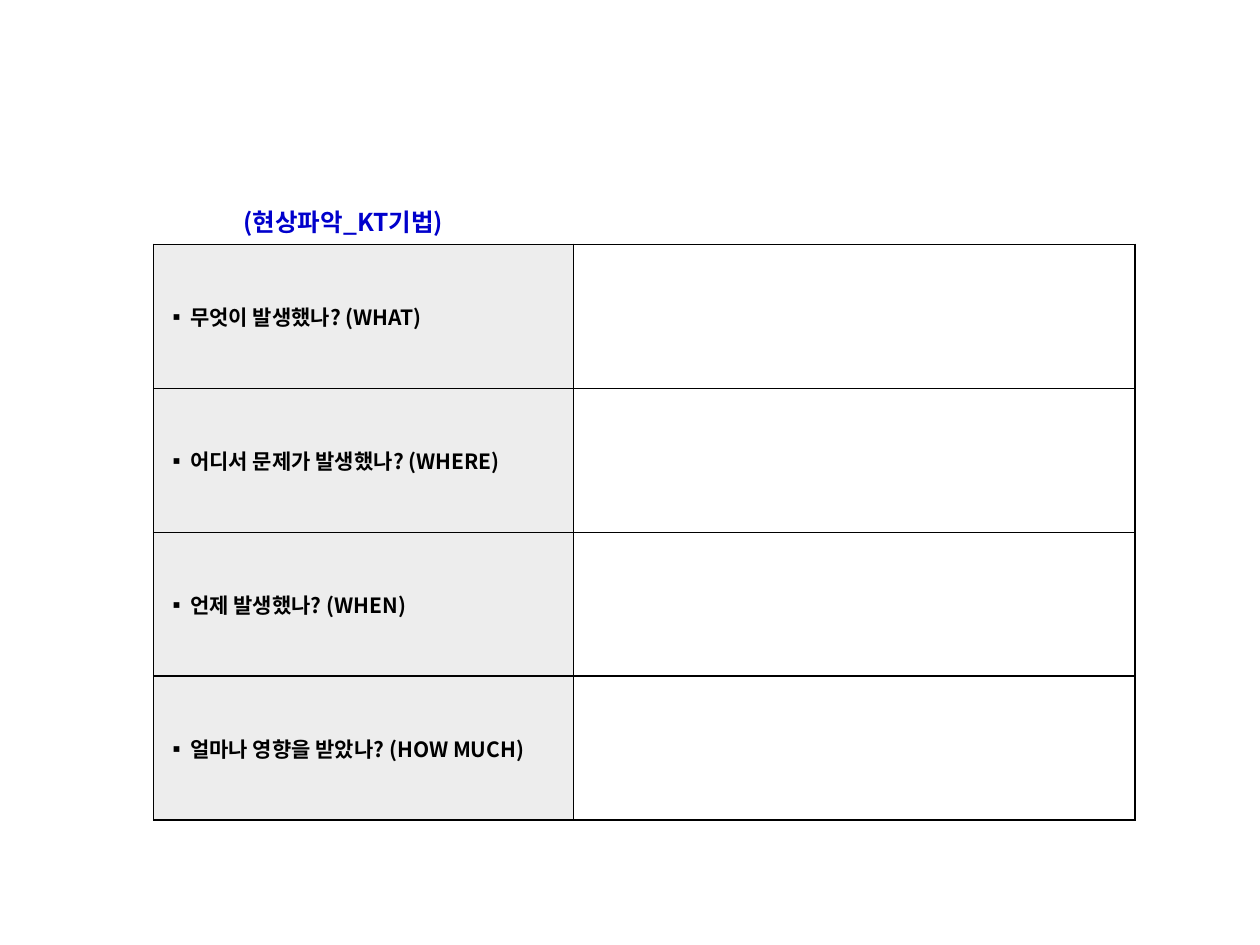
"""Build a slide with a table of four problem-description questions."""
from dataclasses import dataclass

from lxml.etree import SubElement
from pptx import Presentation
from pptx.dml.color import RGBColor
from pptx.enum.text import MSO_ANCHOR, PP_ALIGN
from pptx.oxml import parse_xml
from pptx.oxml.ns import nsdecls, qn
from pptx.slide import Slide
from pptx.table import _Cell
from pptx.text.text import _Paragraph
from pptx.util import Inches, Pt

SLIDE_WIDTH = Inches(10)
SLIDE_HEIGHT = Inches(7.5)
FONT_NAME = "Noto Sans CJK KR"
BLACK = RGBColor(0x00, 0x00, 0x00)
BLUE = RGBColor(0x00, 0x00, 0xCC)
LIGHT_GRAY = RGBColor(0xED, 0xED, 0xED)
TABLE_LEFT = round(SLIDE_WIDTH * 0.122)
TABLE_TOP = Inches(1.94)
COLUMN_WIDTHS = (round(SLIDE_WIDTH * 0.333), round(SLIDE_WIDTH * 0.446))
ROW_HEIGHT = Inches(4.57) // 4
BULLET_INDENT = Inches(0.19)


@dataclass(frozen=True)
class Question:
    text: str
    keyword: str


QUESTIONS = (
    Question("무엇이 발생했나?", "WHAT"),
    Question("어디서 문제가 발생했나?", "WHERE"),
    Question("언제 발생했나?", "WHEN"),
    Question("얼마나 영향을 받았나?", "HOW MUCH"),
)


def format_font(paragraph: _Paragraph, size: int, color: RGBColor) -> None:
    font = paragraph.font
    font.name = FONT_NAME
    font.size = Pt(size)
    font.bold = True
    font.color.rgb = color
    properties = paragraph._p.pPr.find(qn("a:defRPr"))
    SubElement(properties, qn("a:ea"), typeface=FONT_NAME)


def add_bullet(paragraph: _Paragraph) -> None:
    properties = paragraph._p.get_or_add_pPr()
    properties.set("marL", str(BULLET_INDENT))
    properties.set("indent", str(-BULLET_INDENT))
    SubElement(properties, qn("a:buFont"), typeface=FONT_NAME)
    SubElement(properties, qn("a:buChar"), char="▪")


def add_borders(cell: _Cell) -> None:
    properties = cell._tc.get_or_add_tcPr()
    for position, side in enumerate("LRTB"):
        border = parse_xml(
            f'<a:ln{side} {nsdecls("a")} w="{Pt(1)}"><a:solidFill>'
            f'<a:srgbClr val="{BLACK}"/></a:solidFill></a:ln{side}>'
        )
        properties.insert(position, border)


def add_title(slide: Slide, text: str) -> None:
    title = slide.shapes.title
    title.left, title.top = TABLE_LEFT, Inches(1.55)
    title.width, title.height = round(SLIDE_WIDTH * 0.301), Inches(0.36)
    frame = title.text_frame
    frame.text = text
    frame.word_wrap = True
    frame.vertical_anchor = MSO_ANCHOR.TOP
    paragraph = frame.paragraphs[0]
    paragraph.alignment = PP_ALIGN.CENTER
    paragraph.line_spacing = 1.2
    paragraph.space_before = Pt(0)
    format_font(paragraph, 14, BLUE)


def add_question_table(slide: Slide, questions: tuple[Question, ...]) -> None:
    table = slide.shapes.add_table(
        len(questions), len(COLUMN_WIDTHS), TABLE_LEFT, TABLE_TOP,
        sum(COLUMN_WIDTHS), ROW_HEIGHT * len(questions),
    ).table
    table.first_row = False
    table.horz_banding = False
    for column, width in zip(table.columns, COLUMN_WIDTHS):
        column.width = width
    for row, question in enumerate(questions):
        table.rows[row].height = ROW_HEIGHT
        question_cell, answer_cell = table.cell(row, 0), table.cell(row, 1)
        question_cell.text = f"{question.text} ({question.keyword})"
        question_cell.vertical_anchor = MSO_ANCHOR.MIDDLE
        question_cell.fill.solid()
        question_cell.fill.fore_color.rgb = LIGHT_GRAY
        answer_cell.fill.background()
        paragraph = question_cell.text_frame.paragraphs[0]
        add_bullet(paragraph)
        format_font(paragraph, 12, BLACK)
        for cell in (question_cell, answer_cell):
            add_borders(cell)


def main() -> None:
    presentation = Presentation()
    presentation.slide_width = SLIDE_WIDTH
    presentation.slide_height = SLIDE_HEIGHT
    slide = presentation.slides.add_slide(presentation.slide_layouts[5])
    add_title(slide, "(현상파악_KT기법)")
    add_question_table(slide, QUESTIONS)
    presentation.save("out.pptx")


if __name__ == "__main__":
    main()
